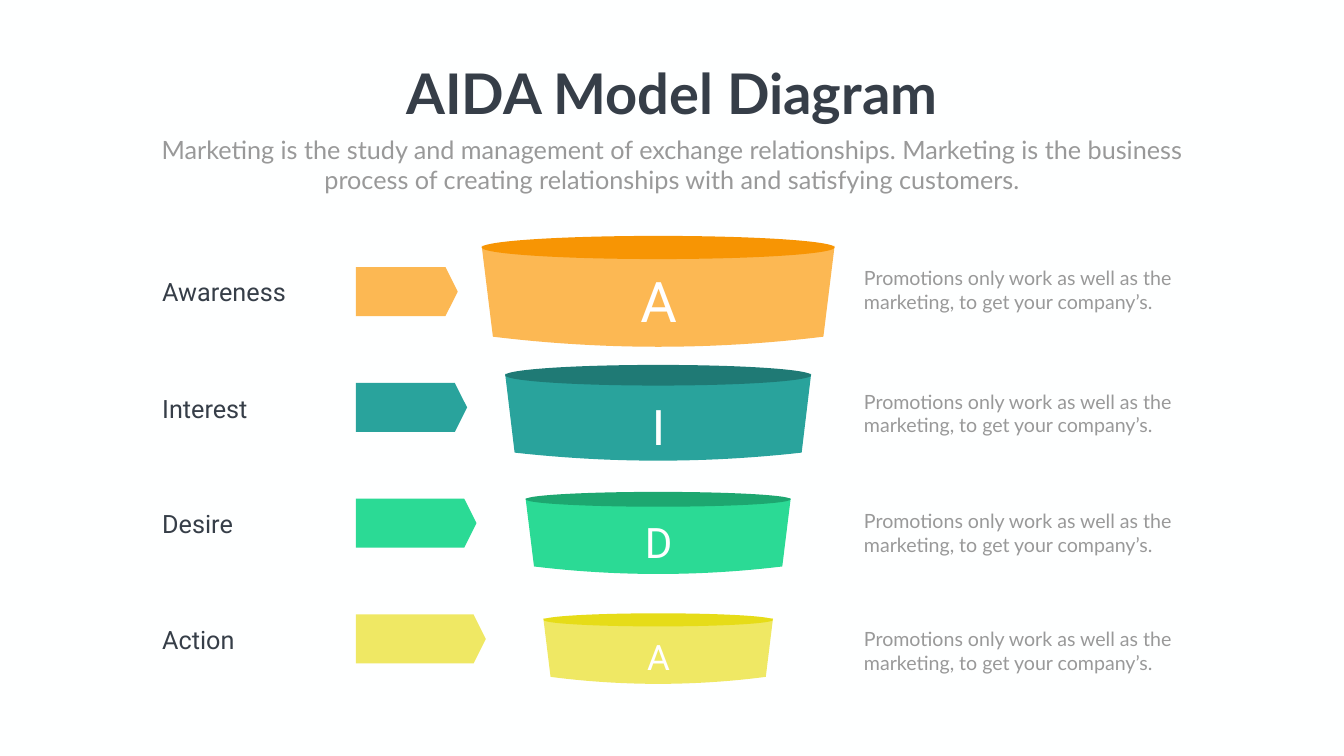
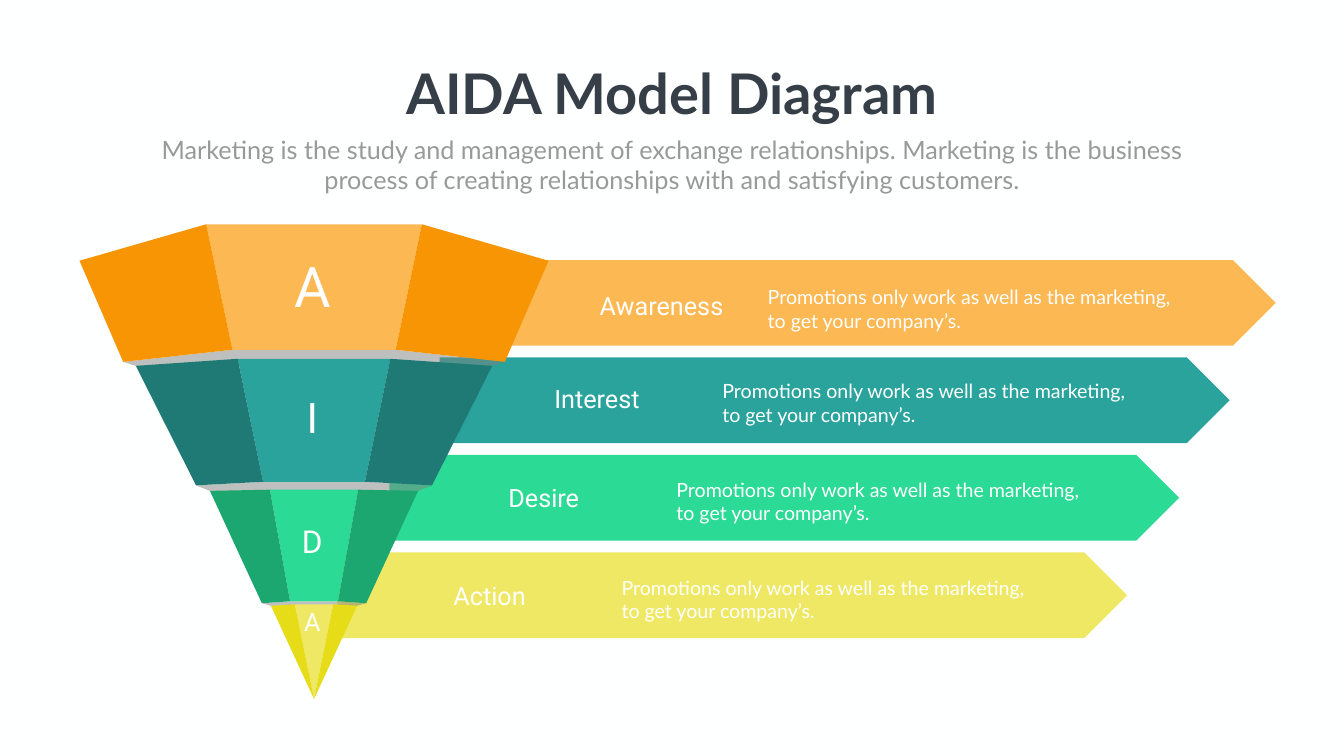
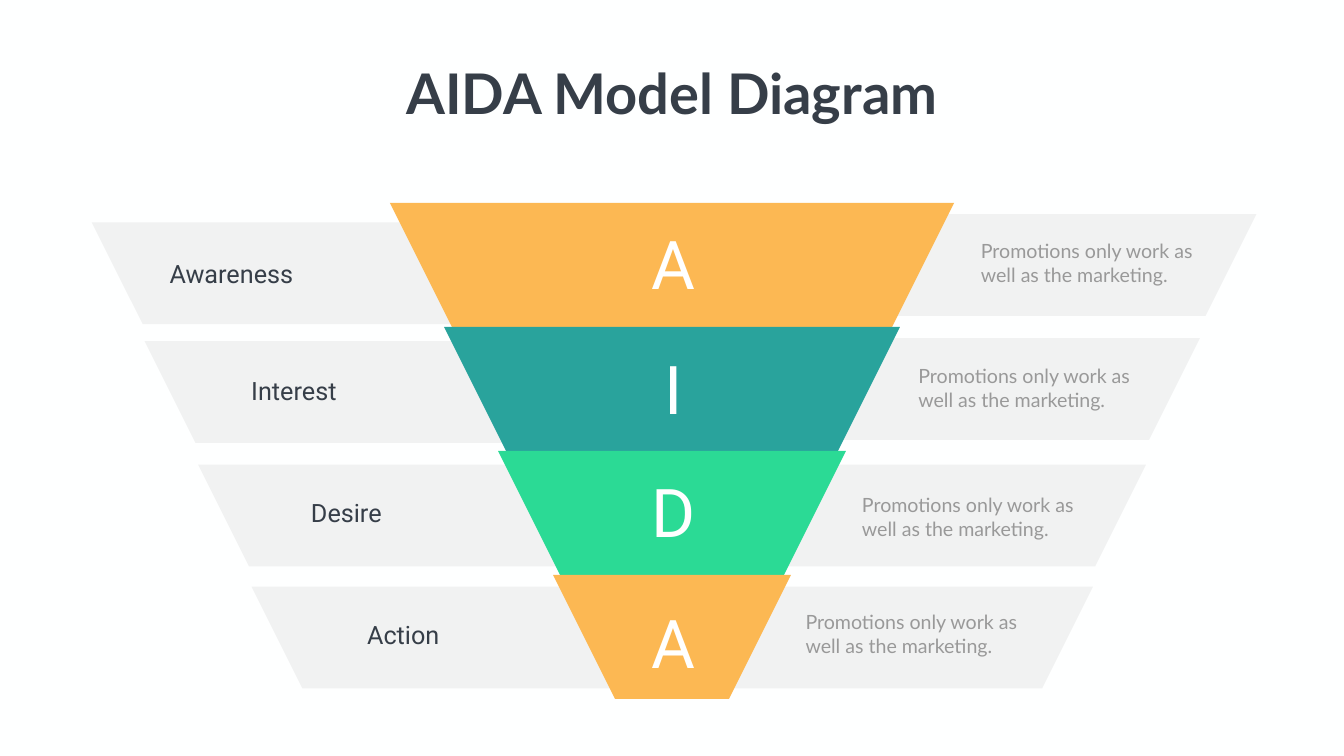
from lxml.etree import SubElement
from pptx import Presentation
from pptx.dml.color import RGBColor
from pptx.enum.shapes import MSO_SHAPE
from pptx.enum.text import MSO_ANCHOR, MSO_AUTO_SIZE, PP_ALIGN
from pptx.oxml.ns import qn
from pptx.util import Pt

COLORS = {
    "paper": "FEFFFF", "white": "FFFFFF", "ink": "363E48", "muted": "999999", "gray": "808080",
    "orange": "FCB853", "orange_dark": "F79504",
    "teal": "29A39C", "teal_dark": "1F7A75",
    "green": "2BDA95", "green_dark": "1DA770",
    "yellow": "EFE864", "yellow_dark": "E6DC18",
}
STYLES = {
    "title": {"name": "Lato", "size": Pt(80), "bold": True},
    "promo": {"name": "Lato", "size": Pt(28)},
    "label": {"name": "Roboto", "size": Pt(36)},
    "letter": {"name": "Roboto", "size": Pt(80)},
    "subtitle": {"name": "Lato", "size": Pt(36)},
}
STAGES = [("Awareness", "orange"), ("Interest", "teal"), ("Desire", "green"), ("Action", "yellow")]
SUBTITLE = ("Marketing is the study and management of exchange relationships. Marketing is the "
            "business process of creating relationships with and satisfying customers.")
PROMO = "Promotions only work as well as the marketing, to get your company’s."
SHORT_PROMO = "Promotions only work as well as the marketing."


def paint(sp, color, alpha=None):
    """Flat fill without line or shadow; alpha is a percentage."""
    sp.shadow.inherit = False
    sp.fill.solid()
    sp.fill.fore_color.rgb = RGBColor.from_string(COLORS[color])
    sp.line.fill.background()
    if alpha:
        clr = sp.fill._xPr.find(".//" + qn("a:srgbClr"))
        SubElement(clr, qn("a:alpha"), val=str(alpha * 1000))


def write(sp, text, left, top, width, style, color, align=PP_ALIGN.LEFT, size=None, lines=1):
    """Place a text shape, as high as its lines, and format its single paragraph."""
    fmt = dict(STYLES[style])
    if size:
        fmt["size"] = Pt(size)
    height = lines * 1.2 * fmt["size"].pt + 8
    sp.left, sp.top, sp.width, sp.height = Pt(left), Pt(top), Pt(width), Pt(height)
    tf = sp.text_frame
    tf.text = text
    tf.word_wrap = style != "title"
    tf.auto_size = MSO_AUTO_SIZE.NONE
    tf.vertical_anchor = MSO_ANCHOR.TOP
    p = tf.paragraphs[0]
    p.alignment = align
    p.space_before = Pt(0)
    if style == "subtitle":
        pPr = p._p.get_or_add_pPr()
        pPr.set("marL", "0")
        pPr.set("indent", "0")
        SubElement(pPr, qn("a:buNone"))
    font = p.runs[0].font
    for name, value in fmt.items():
        setattr(font, name, value)
    font.color.rgb = RGBColor.from_string(COLORS[color])


prs = Presentation()
prs.slide_width, prs.slide_height = Pt(1919.5), Pt(1080)
bg = prs.slide_master.background.fill
bg.solid()
bg.fore_color.rgb = RGBColor.from_string(COLORS["paper"])

# Titles and subtitles; layout 1 has a body, layout 5 a title only
for layout in (1, 1, 5):
    s = prs.slides.add_slide(prs.slide_layouts[layout])
    write(s.shapes.title, "AIDA Model Diagram", 566, 80.6, 787.7, "title", "ink", PP_ALIGN.CENTER)
    if layout == 1:
        write(s.placeholders[1], SUBTITLE, 210.2, 188, 1499, "subtitle", "muted",
              PP_ALIGN.CENTER, lines=2)
cups_slide, pyramid_slide, funnel_slide = prs.slides

# Slide 1: four cups
s = cups_slide
center = 940
# half width, inset, rim, corner, bottom, lid top, lid height, letter top, letter size, promo, label
cups = [
    (252, 16, 351.4, 481, 495.4, 337, 33.1, 376.6, 80, 376.6, 391.7),
    (218.5, 13.5, 534.2, 646.6, 658.1, 521.3, 29.5, 562.3, 70, 553, 558.7),
    (189.3, 12, 712.1, 809.3, 820, 702.7, 21.2, 733.7, 60, 723.6, 722.2),
    (164, 10.3, 883.4, 967, 977, 876.2, 18.7, 904.3, 50, 892.1, 887.8),
]
for i, ((label, color), cup) in enumerate(zip(STAGES, cups)):
    half, inset, rim, corner, bottom, lid, lid_h, letter_y, size, promo_y, label_y = cup
    steps = [k / 12 for k in range(12, -13, -1)]
    curve = [(center + u * (half - inset), bottom - (bottom - corner) * u * u) for u in steps]
    fb = s.shapes.build_freeform(Pt(center - half), Pt(rim))
    fb.add_line_segments([(Pt(x), Pt(y)) for x, y in [(center + half, rim)] + curve])
    paint(fb.convert_to_shape(), color)
    paint(s.shapes.add_shape(MSO_SHAPE.OVAL, Pt(center - half), Pt(lid), Pt(2 * half), Pt(lid_h)),
          color + "_dark")
    tag = s.shapes.add_shape(MSO_SHAPE.PENTAGON, Pt(508.3), Pt(381.6 + 165.4 * i),
                             Pt(145.4 + 13.4 * i), Pt(70))
    tag.adjustments[0] = 0.25
    paint(tag, color)
    write(s.shapes.add_textbox(0, 0, 0, 0), PROMO, 1226.9, promo_y, 468, "promo", "muted", lines=2)
    write(s.shapes.add_textbox(0, 0, 0, 0), label, 224.6, label_y, 249.1, "label", "ink")
    write(s.shapes.add_textbox(0, 0, 0, 0), label[0], 870.5, letter_y, 140.4, "letter", "white",
          PP_ALIGN.CENTER, size)

# Slide 2: arrows, each with its label 240 pt left of its text
s = pyramid_slide
arrows = [(694, 1089.4, 404), (628, 1024.6, 537.8), (556, 959, 679), (481.7, 880.6, 818.6)]
for i, ((label, color), (left, x, y)) in enumerate(zip(STAGES, arrows)):
    paint(s.shapes.add_shape(MSO_SHAPE.PENTAGON, Pt(left), Pt(371.5 + 139.2 * i),
                             Pt(1128.2), Pt(122.4)), color)
    write(s.shapes.add_textbox(0, 0, 0, 0), PROMO, x, y, 611.3, "promo", "white", lines=2)
    write(s.shapes.add_textbox(0, 0, 0, 0), label, x - 240, y + 6.5, 249.1, "label", "white")

# Faceted pyramid: (half width, y) of the inner top, outer top, inner bottom and outer bottom edges
center = 448.5
tiers = [
    ((154, 320.4), (335, 372.5), (116.6, 499.7), (272.5, 517)),
    ((109, 512.6), (254.5, 522.7), (72.7, 688.3), (168.5, 693.4)),
    ((63, 699.6), (148.7, 701.3), (34.2, 859), (74.5, 861.8)),
    ((27.4, 863.3), (61.6, 865.4), (0, 998.6), (0, 998.6)),
]
facets = []
for upper, lower in zip(tiers, tiers[1:]):
    side = [upper[2], upper[3], lower[1]]
    facets.append((side + [(-w, y) for w, y in reversed(side)], "gray", 50))
for (label, color), (in_top, out_top, in_bottom, out_bottom) in zip(STAGES, tiers):
    edge = [in_top, in_bottom]
    facets.append((edge + [(-w, y) for w, y in reversed(edge)], color, None))
    for sign in (1, -1):
        flank = [(sign * w, y) for w, y in (in_top, out_top, out_bottom, in_bottom)]
        facets.append((flank, color + "_dark", None))
for points, color, alpha in facets:
    points = [(Pt(center + x), Pt(y)) for x, y in points]
    fb = s.shapes.build_freeform(*points[0])
    fb.add_line_segments(points[1:])
    paint(fb.convert_to_shape(), color, alpha)
for (label, color), (y, size) in zip(STAGES, [(356.4, 80), (555.8, 60), (741.6, 45), (863.3, 36)]):
    write(s.shapes.add_textbox(0, 0, 0, 0), label[0], 375.8, y, 140.4, "letter", "white",
          PP_ALIGN.CENTER, size)

# Slide 3: gray side panels as (left x, left y, right x, right y, width)
s = funnel_slide
panels = [
    (131, 317.5, 1193.8, 306, 600.5),
    (206.6, 487.4, 1113.1, 483.1, 600.5),
    (283, 663.8, 902.2, 663.8, 734.4),
    (359.3, 838.1, 826.6, 838.1, 734.4),
]
trapezoids = []
for left_x, left_y, right_x, right_y, width in panels:
    trapezoids.append((left_x, left_y, width, 145.4, "gray", 10))
    trapezoids.append((right_x, right_y, width, 145.4, "gray", 10))

# Funnel bands, centred on the slide
band_colors = ["orange", "teal", "green", "orange"]
for i, (width, color) in enumerate(zip([805.7, 651, 496.8, 339.8], band_colors)):
    trapezoids.append((959.75 - width / 2, 290 + 177.1 * i, width, 177.1, color, None))
for left, top, width, height, color, alpha in trapezoids:
    sp = s.shapes.add_shape(MSO_SHAPE.TRAPEZOID, Pt(left), Pt(top), Pt(width), Pt(height))
    sp.adjustments[0] = 0.5
    sp.rotation = 180
    paint(sp, color, alpha)

# Funnel texts: letter y, promo x and y, label x and y
texts = [
    (314.6, 1393.9, 338.4, 205.9, 365.8),
    (493.2, 1304.6, 517, 295.2, 532.8),
    (668.9, 1224, 701.3, 370.1, 707),
    (856.1, 1143.4, 868.3, 451.4, 880.6),
]
for (label, color), (letter_y, promo_x, promo_y, label_x, label_y) in zip(STAGES, texts):
    write(s.shapes.add_textbox(0, 0, 0, 0), label[0], 915.8, letter_y, 92.9, "letter", "white",
          PP_ALIGN.CENTER, 96)
    write(s.shapes.add_textbox(0, 0, 0, 0), SHORT_PROMO, promo_x, promo_y, 356.4, "promo", "muted",
          lines=2)
    write(s.shapes.add_textbox(0, 0, 0, 0), label, label_x, label_y, 249.1, "label", "ink",
          PP_ALIGN.CENTER)

prs.save("out.pptx")
